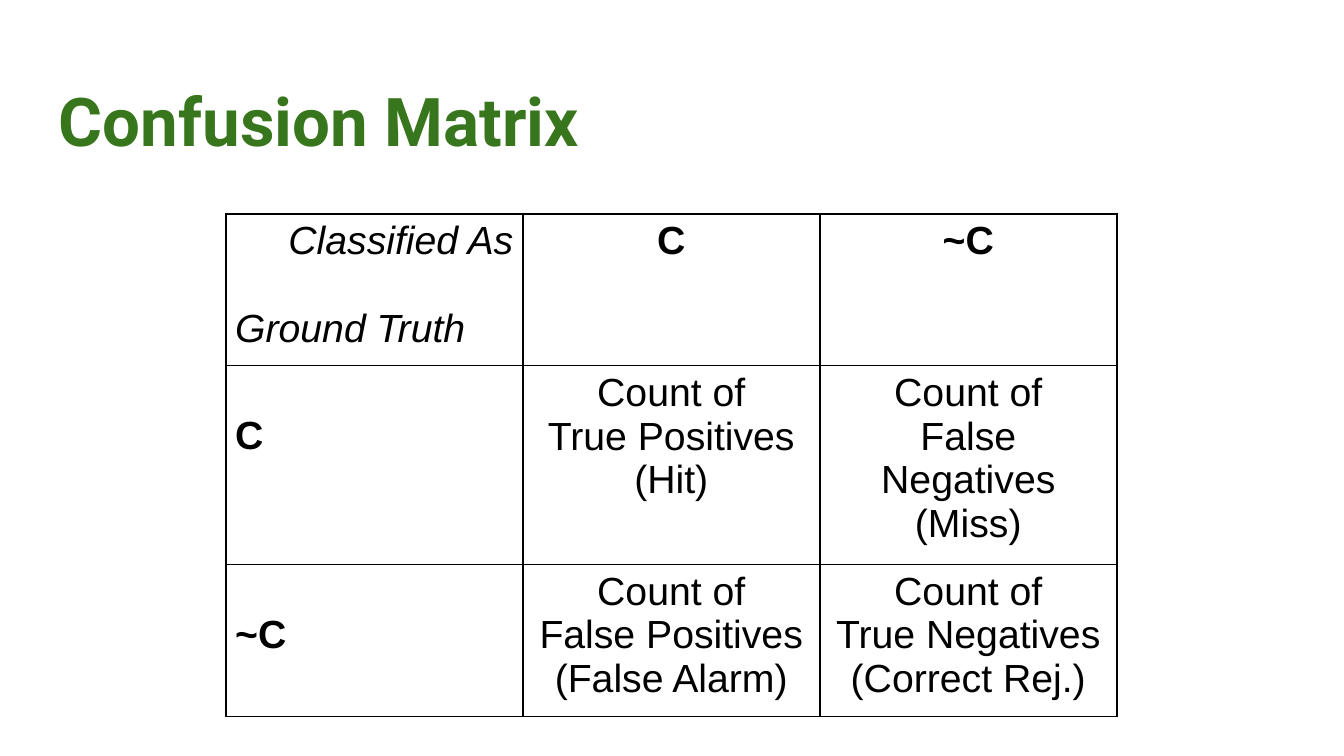
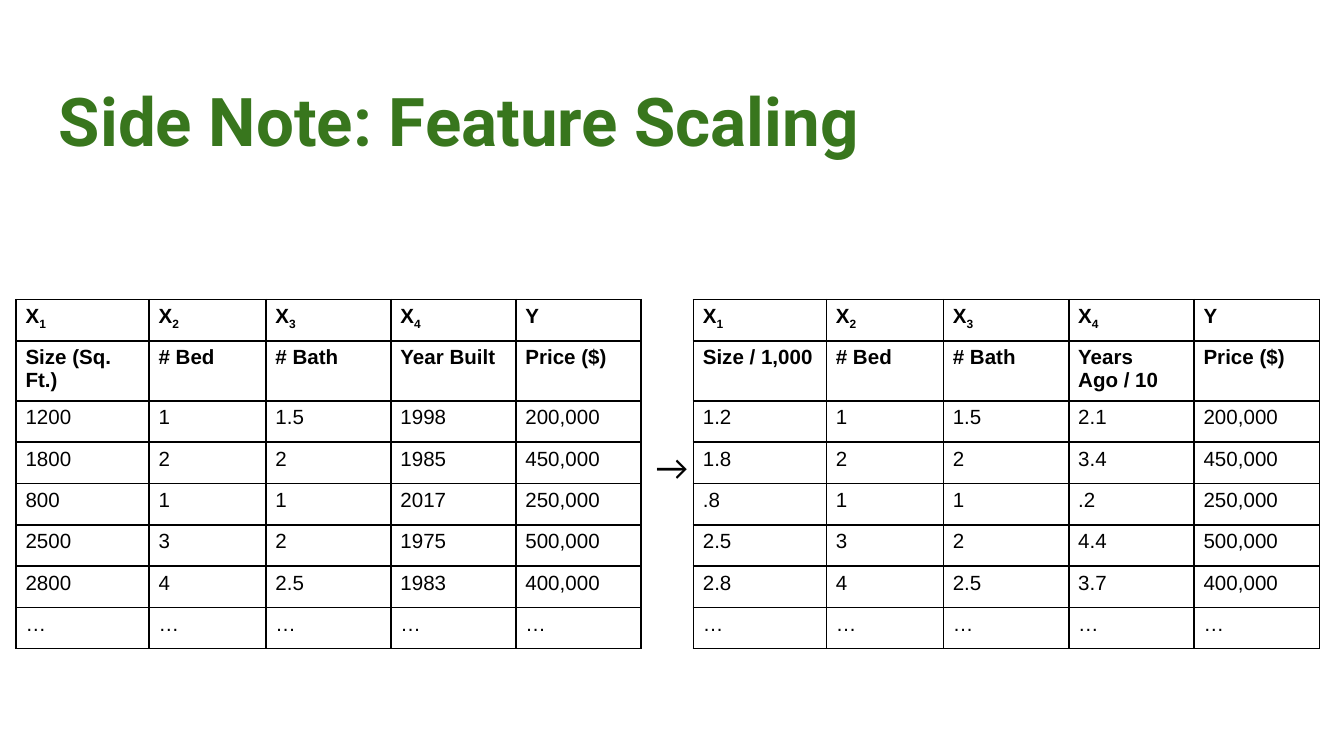
"""Build two slides: a confusion matrix and a feature scaling example."""
from lxml.etree import SubElement
from pptx import Presentation
from pptx.dml.color import RGBColor
from pptx.enum.lang import MSO_LANGUAGE_ID
from pptx.enum.text import MSO_ANCHOR, PP_ALIGN
from pptx.oxml.ns import qn
from pptx.util import Inches, Pt

COLORS = {"title": "38761D", "ink": "000000", "paper": "FFFFFF"}

deck = Presentation()
deck.slide_width, deck.slide_height = Inches(10), Inches(10 * 9 / 16)


def label(slide, text, box, font, size, color):
    shape = slide.shapes.add_textbox(*[Inches(n) for n in box])
    frame = shape.text_frame
    frame.word_wrap = True
    frame.margin_left = frame.margin_right = Inches(0.1)
    frame.margin_top = frame.margin_bottom = Inches(0.1)
    frame.text = text
    run = frame.paragraphs[0].runs[0]
    run.font.name, run.font.size = font, Pt(size)
    run.font.color.rgb = RGBColor.from_string(COLORS[color])
    return frame


def grid(slide, left, top, cols, rows, data, size, heads):
    shape = slide.shapes.add_table(
        len(rows), len(cols), Inches(left), Inches(top),
        Inches(sum(cols)), Inches(sum(rows)))
    table = shape.table
    table.first_row = table.horz_banding = False
    for col, width in zip(table.columns, cols):
        col.width = Inches(width)
    for row, height in zip(table.rows, rows):
        row.height = Inches(height)
    for r, line in enumerate(data):
        for c, text in enumerate(line):
            cell = table.cell(r, c)
            cell.margin_left = cell.margin_right = Inches(0.07)
            cell.margin_top = cell.margin_bottom = Inches(0.04)
            props = cell._tc.get_or_add_tcPr()
            for side in ("a:lnL", "a:lnR", "a:lnT", "a:lnB"):
                edge = SubElement(props, qn(side), w=str(Pt(1)))
                paint = SubElement(edge, qn("a:solidFill"))
                SubElement(paint, qn("a:srgbClr"), val=COLORS["ink"])
            if size < 20:
                cell.fill.solid()
                cell.fill.fore_color.rgb = RGBColor.from_string(COLORS["paper"])
            else:
                cell.fill.background()
            base, _, sub = text.partition("_")
            cell.text_frame.text = base
            if sub:
                run = cell.text_frame.paragraphs[0].add_run()
                run.text = sub
                run._r.get_or_add_rPr().set("baseline", "-25000")
            for para in cell.text_frame.paragraphs:
                for run in para.runs:
                    run.font.name, run.font.size = "Arial", Pt(size)
                    run.font.bold = r < heads
                    run.font.language_id = MSO_LANGUAGE_ID.ENGLISH_US
                    run.font.color.rgb = RGBColor.from_string(COLORS["ink"])
    return table


slides = []
for title in ("Confusion Matrix", "Side Note: Feature Scaling"):
    slide = deck.slides.add_slide(deck.slide_layouts[6])
    frame = label(slide, title, (0.34, 0.49, 9.32, 0.63), "Roboto", 36, "title")
    frame.paragraphs[0].runs[0].font.bold = True
    slides.append(slide)
matrix, scaling = slides

counts = [
    ["Classified As\nGround Truth", "C", "~C"],
    ["C", "Count of\nTrue Positives\n(Hit)", "Count of\nFalse Negatives\n(Miss)"],
    ["~C", "Count of\nFalse Positives\n(False Alarm)",
     "Count of\nTrue Negatives\n(Correct Rej.)"],
]
table = grid(matrix, 1.68, 1.59, [2.21] * 3, [1.13, 1.48, 1.12], counts, 21, 1)
for r in range(3):
    for c in (1, 2):
        for para in table.cell(r, c).text_frame.paragraphs:
            para.alignment = PP_ALIGN.CENTER
for r in (1, 2):
    side = table.cell(r, 0)
    side.margin_top = Inches(0.36)
    side.text_frame.paragraphs[0].runs[0].font.bold = True
above, below = table.cell(0, 0).text_frame.paragraphs
above.alignment = PP_ALIGN.RIGHT
below.space_before = Pt(24)
for para in (above, below):
    para.runs[0].font.bold = False
    para.runs[0].font.italic = True

frame = label(scaling, "→", (0.69, 1.5, 8.62, 4.13), "Lato", 18, "ink")
frame.vertical_anchor = MSO_ANCHOR.MIDDLE
frame.margin_bottom = Inches(0.32)
frame.paragraphs[0].alignment = PP_ALIGN.CENTER
frame.paragraphs[0].line_spacing = 1.15

beds = ["# Bed", "1", "2", "1", "3", "4"]
baths = ["# Bath", "1.5", "2", "1", "2", "2.5"]
prices = ["Price ($)", "200,000", "450,000", "250,000", "500,000", "400,000"]
homes = [
    (0.12, 4.65, ["Size (Sq. Ft.)", "1200", "1800", "800", "2500", "2800"],
     ["Year Built", "1998", "1985", "2017", "1975", "1983"]),
    (5.16, 4.66, ["Size / 1,000", "1.2", "1.8", ".8", "2.5", "2.8"],
     ["Years Ago / 10", "2.1", "3.4", ".2", "4.4", "3.7"]),
]
high = (2.57 - 0.42) / 7
for left, width, sizes, years in homes:
    data = [["X_1", "X_2", "X_3", "X_4", "Y"]]
    data += zip(sizes, beds, baths, years, prices)
    data.append(["…"] * 5)
    cols = [0.99, 0.87] + [(width - 0.99 - 0.87) / 3] * 3
    grid(scaling, left, 2.23, cols, [high, 0.42] + [high] * 6, data, 11, 2)

deck.save("out.pptx")
